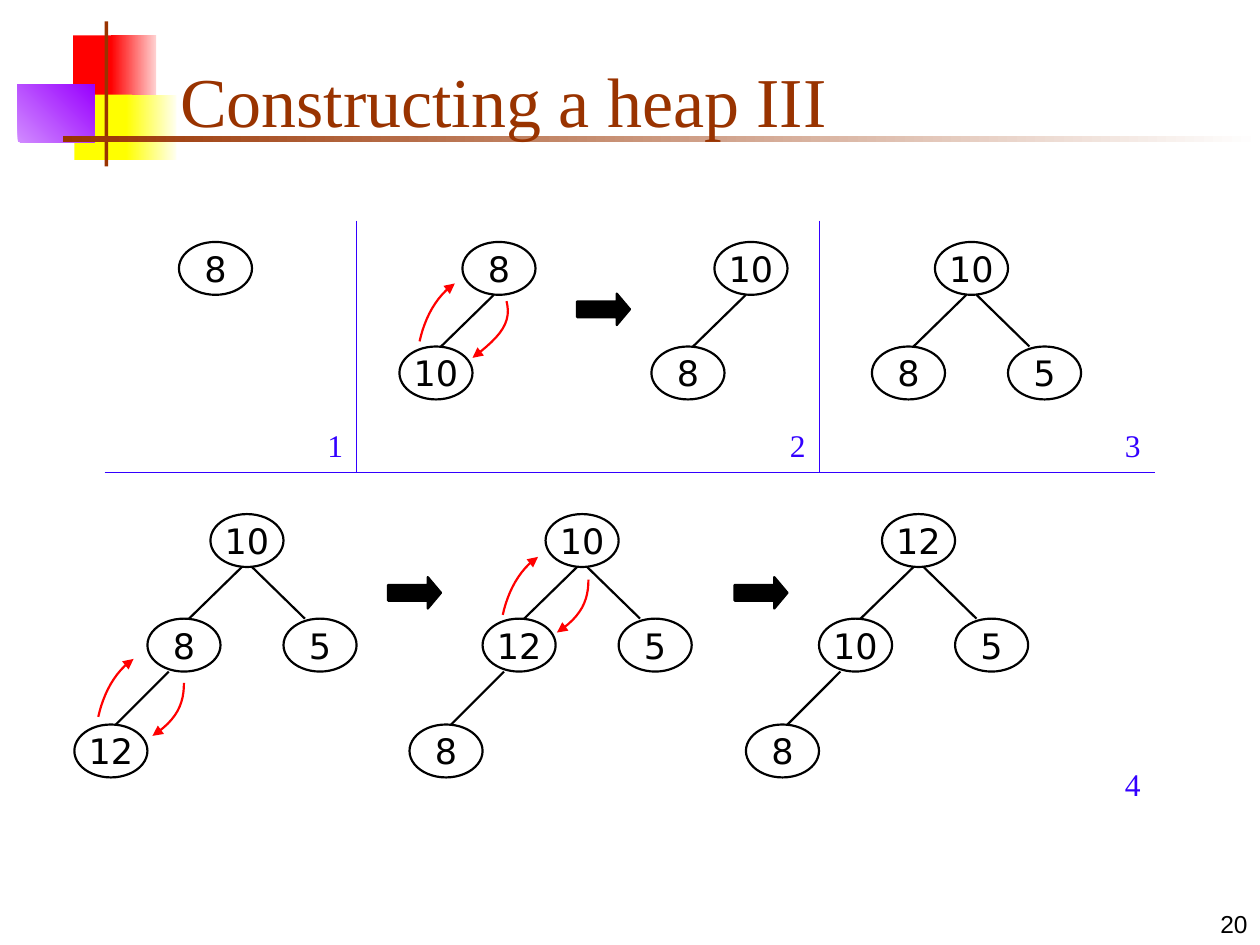
import pptx
import pptx.util
import pptx.dml.color
import pptx.enum.shapes
import pptx.enum.text
import pptx.oxml
import pptx.oxml.ns
from pptx.util import Inches

COLORS = {"ink": "000000", "brown": "993300", "blue": "3300FF", "swap": "FF0000",
          "red": "FF0000", "pink": "FFD1D1", "yellow": "FFFF00", "cream": "FFFFF0",
          "lilac": "D18BFF", "purple": "9900FF", "white": "FFFFFF"}
RGB = {name: pptx.dml.color.RGBColor.from_string(value) for name, value in COLORS.items()}
SHAPE = pptx.enum.shapes.MSO_SHAPE
ALIGN = pptx.enum.text.PP_ALIGN
ANCHOR = pptx.enum.text.MSO_ANCHOR

deck = pptx.Presentation()
deck.slide_width, deck.slide_height = Inches(10), Inches(7.5)
slide = deck.slides.add_slide(deck.slide_layouts[5])
shapes = slide.shapes


def write(holder, text, size, font, color, align, anchor, wrap=True):
    frame = holder.text_frame
    frame.text = text
    frame.word_wrap = wrap
    frame.auto_size = pptx.enum.text.MSO_AUTO_SIZE.NONE
    frame.vertical_anchor = anchor
    paragraph = frame.paragraphs[0]
    paragraph.alignment = align
    paragraph.font.size = pptx.util.Pt(size)
    paragraph.font.name = font
    paragraph.font.color.rgb = RGB[color]


def draw_line(x1, y1, x2, y2, color, width):
    line = shapes.add_connector(pptx.enum.shapes.MSO_CONNECTOR.STRAIGHT,
                                Inches(x1), Inches(y1), Inches(x2), Inches(y2))
    line.line.color.rgb = RGB[color]
    line.line.width = pptx.util.Pt(width)
    pptx.oxml.ns.qn("a:effectLst")
    line._element.spPr.append(pptx.oxml.parse_xml(
        f'<a:effectLst {pptx.oxml.ns.nsdecls("a")}/>'))


for left, top, width, height, start, end, angle in [
    (0.58, 0.28, 0.35, 0.52, "red", "red", 0),
    (0.88, 0.28, 0.36, 0.52, "red", "pink", 0),
    (0.59, 0.75, 0.46, 0.52, "yellow", "yellow", 0),
    (1, 0.75, 0.4, 0.52, "yellow", "cream", 0),
    (0.14, 0.67, 0.61, 0.46, "lilac", "purple", 45),
    (0.83, 0.17, 0.03, 1.15, "brown", "brown", 0),
    (0.5, 1.08, 9.5, 0.05, "brown", "white", 0),
]:
    ornament = shapes.add_shape(SHAPE.RECTANGLE, Inches(left), Inches(top),
                                Inches(width), Inches(height))
    ornament.shadow.inherit = False
    ornament.line.fill.background()
    if start == end:
        ornament.fill.solid()
        ornament.fill.fore_color.rgb = RGB[start]
    else:
        ornament.fill.gradient()
        ornament.fill.gradient_angle = angle
        for stop, shade in zip(ornament.fill.gradient_stops, (start, end)):
            stop.color.rgb = RGB[shade]

title = shapes.title
title.left, title.top, title.width, title.height = (
    Inches(1.33), Inches(0.25), Inches(8.52), Inches(0.92))
write(title, "Constructing a heap III", 40, "Times New Roman", "brown", ALIGN.LEFT, ANCHOR.BOTTOM)
shapes._spTree.append(title._element)

page_number = shapes.add_textbox(Inches(7.92), Inches(7), Inches(2.08), Inches(0.5))
write(page_number, "20", 14, "Arial", "ink", ALIGN.RIGHT, ANCHOR.BOTTOM)

draw_line(0.83, 3.75, 9.17, 3.75, "blue", 0.5)
for divider_x in (2.83, 6.5):
    draw_line(divider_x, 1.75, divider_x, 3.75, "blue", 0.5)

for step, left, top in [("1", 2.5, 3.33), ("2", 6.17, 3.33), ("3", 8.83, 3.33), ("4", 8.83, 6.02)]:
    step_label = shapes.add_textbox(Inches(left), Inches(top), Inches(0.42), Inches(0.4))
    write(step_label, step, 18, "Times New Roman", "blue", ALIGN.LEFT, ANCHOR.TOP)

# Each heap slot: node offset from the root, then the edge from its parent
slots = [
    ((0, 0), None),
    ((-0.5, 0.83), (0.25, 0.42, -0.17, 0.83)),
    ((0.58, 0.83), (0.33, 0.42, 0.75, 0.83)),
    ((-1.08, 1.67), (-0.33, 1.25, -0.75, 1.67)),
]
heaps = [
    (1.42, 1.92, [8]),
    (3.67, 1.92, [8, 10]),
    (5.67, 1.92, [10, 8]),
    (7.42, 1.92, [10, 8, 5]),
    (1.67, 4.08, [10, 8, 5, 12]),
    (4.33, 4.08, [10, 12, 5, 8]),
    (7, 4.08, [12, 10, 5, 8]),
]
for root_x, root_y, values in heaps:
    for value, ((dx, dy), edge) in zip(values, slots):
        node = shapes.add_shape(SHAPE.OVAL, Inches(root_x + dx), Inches(root_y + dy),
                                Inches(0.58), Inches(0.42))
        node.shadow.inherit = False
        node.fill.background()
        node.line.color.rgb = RGB["ink"]
        node.line.width = pptx.util.Pt(1.25)
        write(node, str(value), 20, "DejaVu Sans", "ink", ALIGN.CENTER, ANCHOR.MIDDLE, wrap=False)
        if edge:
            x1, y1, x2, y2 = edge
            draw_line(root_x + x1, root_y + y1, root_x + x2, root_y + y2, "ink", 1.25)

for left, top in [(4.58, 2.33), (3.08, 4.58), (5.83, 4.58)]:
    next_arrow = shapes.add_shape(SHAPE.RIGHT_ARROW, Inches(left), Inches(top),
                                  Inches(0.42), Inches(0.25))
    next_arrow.adjustments[0], next_arrow.adjustments[1] = 0.5, 0.42
    next_arrow.shadow.inherit = False
    next_arrow.fill.solid()
    next_arrow.fill.fore_color.rgb = RGB["ink"]
    next_arrow.line.color.rgb = RGB["ink"]
    next_arrow.line.width = pptx.util.Pt(1.25)

rising = [(0, 0.46), (0.04, 0.28), (0.13, 0.1), (0.28, 0)]
falling = [(0.25, 0), (0.25, 0.16), (0.2, 0.29), (0, 0.42)]
falling_wide = [(0.27, 0), (0.31, 0.16), (0.24, 0.27), (0, 0.45)]
for left, top, bend in [
    (3.33, 2.25, rising), (3.75, 2.39, falling_wide),
    (0.78, 5.23, rising), (1.21, 5.42, falling),
    (3.99, 4.42, rising), (4.42, 4.6, falling),
]:
    curve = []
    for t in [i / 12 for i in range(13)]:
        weights = ((1 - t) ** 3, 3 * t * (1 - t) ** 2, 3 * t ** 2 * (1 - t), t ** 3)
        curve.append((Inches(left + sum(w * x for w, (x, y) in zip(weights, bend))),
                      Inches(top + sum(w * y for w, (x, y) in zip(weights, bend)))))
    outline = shapes.build_freeform(*curve[0])
    outline.add_line_segments(curve[1:], close=False)
    swap_arrow = outline.convert_to_shape()
    swap_arrow.shadow.inherit = False
    swap_arrow.fill.background()
    swap_arrow.line.color.rgb = RGB["swap"]
    swap_arrow.line.width = pptx.util.Pt(1.25)
    swap_arrow.line._get_or_add_ln().append(pptx.oxml.parse_xml(
        f'<a:tailEnd {pptx.oxml.ns.nsdecls("a")} type="triangle"/>'))

deck.save("out.pptx")
